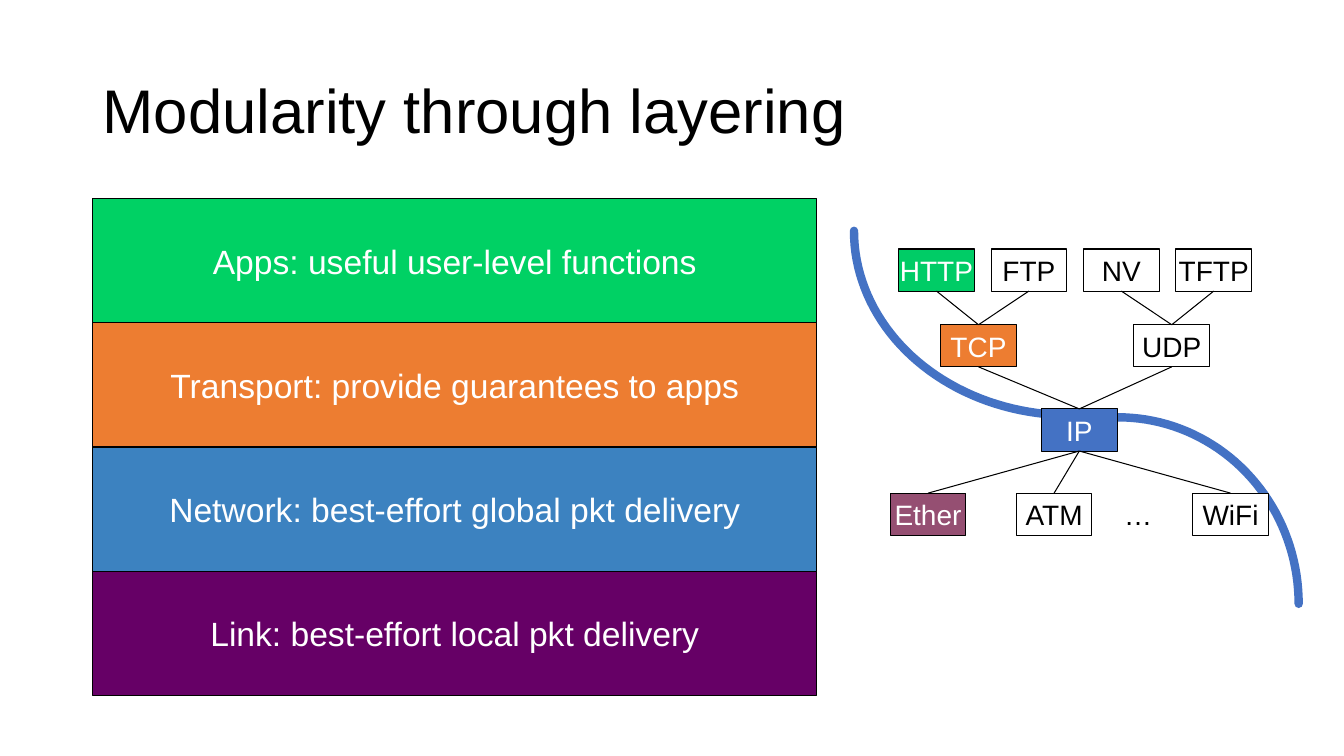
from math import cos, pi, sin

from lxml import etree
from pptx import Presentation
from pptx.dml.color import RGBColor
from pptx.enum.shapes import MSO_CONNECTOR, MSO_SHAPE
from pptx.enum.text import MSO_ANCHOR, PP_ALIGN
from pptx.oxml.ns import qn
from pptx.util import Inches, Pt

RECT = MSO_SHAPE.RECTANGLE
STRAIGHT = MSO_CONNECTOR.STRAIGHT
MIDDLE = MSO_ANCHOR.MIDDLE
CENTER = PP_ALIGN.CENTER

BLACK, WHITE, BLUE = "000000", "FFFFFF", "4472C4"
LAYERS = [
    ("Apps: useful user-level functions", "00D164"),
    ("Transport: provide guarantees to apps", "ED7D31"),
    ("Network: best-effort global pkt delivery", "3C82C0"),
    ("Link: best-effort local pkt delivery", "660066"),
]
GRID_COLUMNS, GRID_ROWS = 45, 34
NODE_COLUMNS, NODE_ROWS = 9, 5
PROTOCOLS = {
    "HTTP": (1, 0), "FTP": (12, 0), "NV": (23, 0), "TFTP": (34, 0),
    "TCP": (6, 9), "UDP": (29, 9),
    "IP": (18, 19),
    "Ether": (0, 29), "ATM": (15, 29), "…": (25, 29), "WiFi": (36, 29),
}
HIGHLIGHTS = {"HTTP": "00CC66", "TCP": "ED7D31", "IP": BLUE, "Ether": "954F72"}
LINKS = [
    ("HTTP", "TCP"), ("FTP", "TCP"), ("NV", "UDP"), ("TFTP", "UDP"),
    ("TCP", "IP"), ("UDP", "IP"),
    ("IP", "Ether"), ("IP", "ATM"), ("IP", "WiFi"),
]


def color(hex_value):
    """Turn a hex string into a colour."""
    return RGBColor.from_string(hex_value)


def style_text(paragraph, size, hex_value):
    """Set the font of a whole paragraph."""
    paragraph.font.name = "Arial"
    paragraph.font.size = Pt(size)
    paragraph.font.color.rgb = color(hex_value)


def add_label_box(slide, box, label, size, fill, ink, outlined=True):
    """Draw a filled rectangle with a centred one-line label."""
    block = slide.shapes.add_shape(RECT, *map(Inches, box))
    block.shadow.inherit = False
    block.fill.solid()
    block.fill.fore_color.rgb = color(fill)
    if outlined:
        block.line.color.rgb = color(BLACK)
        block.line.width = Pt(0.75)
    else:
        block.line.fill.background()
    frame = block.text_frame
    frame.word_wrap = False
    frame.vertical_anchor = MIDDLE
    paragraph = frame.paragraphs[0]
    paragraph.text = label
    paragraph.alignment = CENTER
    style_text(paragraph, size, ink)


def add_title(slide, box, wording):
    """Place the slide title in its box."""
    frame = slide.shapes.add_textbox(*map(Inches, box)).text_frame
    frame.word_wrap = True
    frame.vertical_anchor = MIDDLE
    paragraph = frame.paragraphs[0]
    paragraph.text = wording
    paragraph.line_spacing = 0.9
    style_text(paragraph, 44, BLACK)


def add_layer_stack(slide, box):
    """Stack the four layers evenly in the box."""
    left, top, width, height = box
    layer_height = height / len(LAYERS)
    for row, (label, fill) in enumerate(LAYERS):
        layer_box = (left, top + row * layer_height, width, layer_height)
        add_label_box(slide, layer_box, label, 24, fill, WHITE)


def add_arc(slide, center, radii, start_angle):
    """Draw a thick quarter ellipse, clockwise from the start angle."""
    steps = 40
    angles = [start_angle + pi / 2 * step / steps for step in range(steps + 1)]
    points = [
        (Inches(center[0] + radii[0] * cos(angle)), Inches(center[1] + radii[1] * sin(angle)))
        for angle in angles
    ]
    builder = slide.shapes.build_freeform(*points[0])
    builder.add_line_segments(points[1:], close=False)
    arc = builder.convert_to_shape()
    arc.shadow.inherit = False
    arc.fill.background()
    arc.line.color.rgb = color(BLUE)
    arc.line.width = Pt(6)
    arc.element.spPr.find(qn("a:ln")).set("cap", "rnd")


def add_waist(slide, box):
    """Draw the two arcs that meet at the middle of the box."""
    left, top, width, height = box
    radius_y = height / 2
    left_radius, right_radius = 2.15, 1.79
    add_arc(slide, (left + left_radius, top), (left_radius, radius_y - 0.02), pi / 2)
    add_arc(slide, (left + width - right_radius, top + height),
            (right_radius, radius_y), -pi / 2)


def add_link(slide, start, end):
    """Join two points with a thin line."""
    link = slide.shapes.add_connector(STRAIGHT, *map(Inches, start + end))
    link.line.color.rgb = color(BLACK)
    link.line.width = Pt(0.75)
    etree.SubElement(link.element.spPr, qn("a:effectLst"))


def add_protocol_graph(slide, box):
    """Place the protocols on a grid in the box and link them."""
    left, top, width, height = box
    column, row = width / GRID_COLUMNS, height / GRID_ROWS

    def grid_point(across, down):
        """Locate a grid position on the slide."""
        return left + across * column, top + down * row

    for protocol, position in PROTOCOLS.items():
        fill = HIGHLIGHTS.get(protocol, WHITE)
        ink = WHITE if protocol in HIGHLIGHTS else BLACK
        node_box = (*grid_point(*position), NODE_COLUMNS * column, NODE_ROWS * row)
        add_label_box(slide, node_box, protocol, 20, fill, ink, protocol != "…")

    for upper, lower in LINKS:
        upper_column, upper_row = PROTOCOLS[upper]
        lower_column, lower_row = PROTOCOLS[lower]
        add_link(slide,
                 grid_point(upper_column + NODE_COLUMNS / 2, upper_row + NODE_ROWS),
                 grid_point(lower_column + NODE_COLUMNS / 2, lower_row))


def main():
    """Build and save the layering slide."""
    deck = Presentation()
    deck.slide_width, deck.slide_height = Inches(13.33), Inches(7.5)
    slide = deck.slides.add_slide(deck.slide_layouts[6])
    add_layer_stack(slide, (0.92, 1.97, 7.18, 4.93))
    add_title(slide, (0.92, 0.4, 11.96, 1.45), "Modularity through layering")
    add_waist(slide, (8.47, 2.29, 4.41, 3.7))
    add_protocol_graph(slide, (8.83, 2.47, 3.75, 2.84))
    deck.save("out.pptx")


if __name__ == "__main__":
    main()
